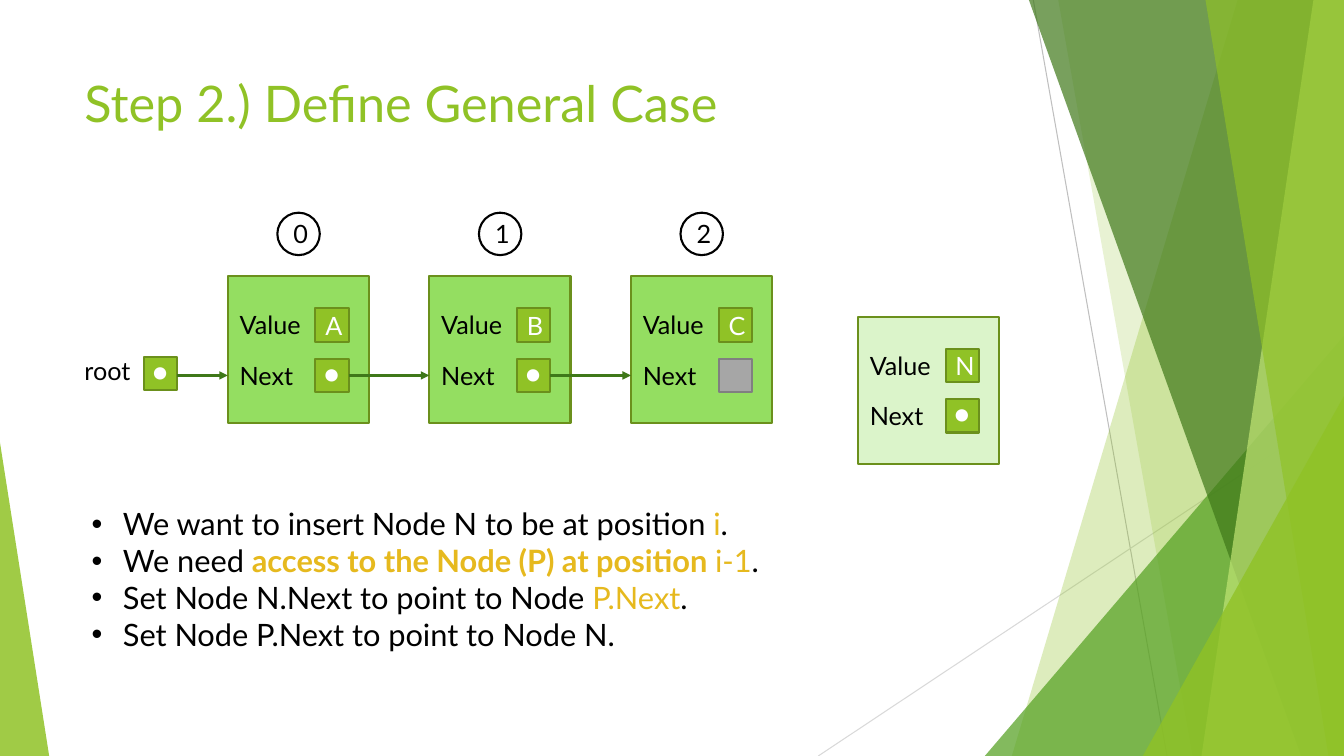
from lxml.etree import SubElement
from pptx import Presentation
from pptx.dml.color import RGBColor
from pptx.enum.shapes import MSO_CONNECTOR, MSO_SHAPE
from pptx.enum.text import MSO_ANCHOR, PP_ALIGN
from pptx.oxml.ns import qn
from pptx.util import Cm, Pt

# Content
TITLE = "Step 2.) Define General Case"
LIST_VALUES = ["A", "B", "C"]
NEW_VALUE = "N"
STEPS = [  # runs of (text, colour, bold)
    [("We want to insert Node N to be at position ", "black", False),
     ("i", "gold", False), (".", "black", False)],
    [("We need ", "black", False),
     ("access to the Node (P) at position ", "gold", True),
     ("i-1", "gold", False), (".", "black", False)],
    [("Set Node N.Next to point to Node ", "black", False),
     ("P.Next", "gold", False), (".", "black", False)],
    [("Set Node P.Next to point to Node N.", "black", False)],
]
COLORS = {
    "black": "000000", "white": "FFFFFF", "gold": "E6B91E", "green": "90C226",
    "edge": "6B901C", "node": "94DE61", "new_node": "DBF4CA",
    "dark": "3F7819", "mid": "54A021", "lime": "C0E474",
    "empty": "A6A6A6", "empty_edge": "808080",
    "ray": "BFBFBF", "pale_ray": "D9D9D9",
}
FONT = "Lato"

# Layout, in centimetres
WIDTH, HEIGHT = 33.87, 19.05
NODE_LEFT, NODE_TOP, NODE_STEP = 5.74, 6.96, 5.08
NODE_W, NODE_H = 3.56, 3.71
NEW_NODE = (21.62, 7.98)
FIELD_LEFT, VALUE_TOP, NEXT_TOP, FIELD = 2.21, 0.81, 2.08, 0.84
ROOT_LEFT, ROOT_TOP = 3.63, 8.99
INDEX_LEFT, INDEX_TOP, INDEX = 1.25, -1.6, 1.07
ARROW_Y = 9.46

# Backdrop: rays (from, to, colour), then facets back to front
RAYS = [((26.04, 0), (29.41, HEIGHT), "ray"),
        ((WIDTH, 10.24), (20.62, HEIGHT), "pale_ray")]


def band(top, bottom):
    """Corners of a facet that reaches the right edge of the slide."""
    return [(top, 0), (WIDTH, 0), (WIDTH, HEIGHT), (bottom, HEIGHT)]


def wedge(left, top, right, apex):
    """Corners of a triangle standing on the bottom of the slide."""
    return [(apex, top), (right, HEIGHT), (left, HEIGHT)]


FACETS = [  # corners, colour, opacity in percent
    (band(31.19, 25.5), "green", 30),
    (band(26.67, 30.05), "green", 20),
    (wedge(24.82, 8.46, WIDTH, WIDTH), "mid", 72),
    (band(25.93, 32.79), "dark", 70),
    (band(33.1, 30.28), "lime", 70),
    (band(30.38, 33.48), "green", 65),
    (wedge(28.8, 9.98, WIDTH, WIDTH), "green", 80),
    (wedge(0, 11.15, 1.24, 0), "green", 85),
]

prs = Presentation()
prs.slide_width, prs.slide_height = Cm(WIDTH), Cm(HEIGHT)
slide = prs.slides.add_slide(prs.slide_layouts[6])
shapes = slide.shapes


def rgb(name):
    """Look up a named colour."""
    return RGBColor.from_string(COLORS[name])


def style_run(run, size, color, bold=False):
    """Set font, size, colour and weight of a run."""
    run.font.name, run.font.size, run.font.bold = FONT, Pt(size), bold
    run.font.color.rgb = rgb(color)


def add_line(start, end, color, width, arrow=False):
    """Draw a straight line, with an arrowhead at its end if asked."""
    line = shapes.add_connector(MSO_CONNECTOR.STRAIGHT,
                                *(Cm(v) for v in (*start, *end)))
    line.line.color.rgb, line.line.width = rgb(color), Pt(width)
    if arrow:
        SubElement(line.line._get_or_add_ln(), qn("a:tailEnd"), type="triangle")
    SubElement(line._element.spPr, qn("a:effectLst"))


def add_facet(corners, color, opacity):
    """Draw one translucent facet of the backdrop."""
    start, *others = [(Cm(x), Cm(y)) for x, y in corners]
    builder = shapes.build_freeform(*start, scale=1.0)
    builder.add_line_segments(others, close=True)
    facet = builder.convert_to_shape()
    facet.shadow.inherit = False
    facet.fill.solid()
    facet.fill.fore_color.rgb = rgb(color)
    fill_color = facet._element.spPr.find(f".//{qn('a:srgbClr')}")
    SubElement(fill_color, qn("a:alpha"), val=str(opacity * 1000))
    facet.line.fill.background()


def add_text(text, left, top, width, height=1.02, size=18, color="black"):
    """Add a text box with one line."""
    box = shapes.add_textbox(Cm(left), Cm(top), Cm(width), Cm(height))
    box.text_frame.word_wrap = True
    box.text_frame.text = text
    for run in box.text_frame.paragraphs[0].runs:
        style_run(run, size, color)
    return box.text_frame


def add_block(kind, left, top, width, height, fill, edge="edge", text="",
              color="white"):
    """Add an outlined shape with optional centred text."""
    block = shapes.add_shape(kind, Cm(left), Cm(top), Cm(width), Cm(height))
    block.shadow.inherit = False
    block.fill.solid()
    block.fill.fore_color.rgb = rgb(fill)
    block.line.color.rgb, block.line.width = rgb(edge), Pt(1.5)
    if text:
        frame = block.text_frame
        frame.text, frame.vertical_anchor = text, MSO_ANCHOR.MIDDLE
        frame.paragraphs[0].alignment = PP_ALIGN.CENTER
        style_run(frame.paragraphs[0].runs[0], 18, color)


def add_pointer(left, top):
    """Add a field holding a reference dot."""
    add_block(MSO_SHAPE.RECTANGLE, left, top, FIELD, FIELD, "green")
    add_text("●", left - 0.03, top - 0.14, 0.76)


def add_node(left, top, value, fill="node", has_next=True):
    """Add a list node with its Value and Next fields."""
    add_block(MSO_SHAPE.RECTANGLE, left, top, NODE_W, NODE_H, fill)
    field = left + FIELD_LEFT
    for label, offset in (("Value", VALUE_TOP), ("Next", NEXT_TOP)):
        add_text(label, left + 0.05, top + offset - 0.09, 2.16)
    add_block(MSO_SHAPE.RECTANGLE, field, top + VALUE_TOP, FIELD, FIELD,
              "green", text=value)
    if has_next:
        add_pointer(field, top + NEXT_TOP)
    else:
        add_block(MSO_SHAPE.RECTANGLE, field, top + NEXT_TOP, FIELD, FIELD,
                  "empty", "empty_edge")


def add_pointer_dot_color():
    """Turn every reference dot white."""
    for shape in shapes:
        if shape.has_text_frame and shape.text_frame.text == "●":
            shape.text_frame.paragraphs[0].runs[0].font.color.rgb = rgb("white")


for ray in RAYS:
    add_line(*ray, 0.75)
for facet_parts in FACETS:
    add_facet(*facet_parts)

add_text(TITLE, 1.88, 1.7, 23.88, 3.66, 36, "green")

last = len(LIST_VALUES) - 1
arrow_starts = [ROOT_LEFT + FIELD]
for index, value in enumerate(LIST_VALUES):
    left = NODE_LEFT + index * NODE_STEP
    add_node(left, NODE_TOP, value, has_next=index < last)
    add_block(MSO_SHAPE.OVAL, left + INDEX_LEFT, NODE_TOP + INDEX_TOP, INDEX,
              INDEX, "white", "black", str(index), "black")
    arrow_starts.append(left + FIELD_LEFT + FIELD)
add_node(*NEW_NODE, NEW_VALUE, "new_node")

add_text("root", 1.88, 8.84, 2.06)
add_pointer(ROOT_LEFT, ROOT_TOP)
add_pointer_dot_color()
for index, start in enumerate(arrow_starts[:-1]):
    add_line((start, ARROW_Y), (NODE_LEFT + index * NODE_STEP, ARROW_Y),
             "dark", 2, arrow=True)

steps = add_text("", 2.06, 12.6, 23.11, 4.01)
for number, parts in enumerate(STEPS):
    step = steps.add_paragraph() if number else steps.paragraphs[0]
    properties = step._p.get_or_add_pPr()
    properties.set("marL", str(Cm(0.79)))
    properties.set("indent", str(-Cm(0.79)))
    SubElement(properties, qn("a:buFont"), typeface="Arial")
    SubElement(properties, qn("a:buChar"), char="•")
    for text, color, bold in parts:
        run = step.add_run()
        run.text = text
        style_run(run, 22, color, bold)

prs.save("out.pptx")
